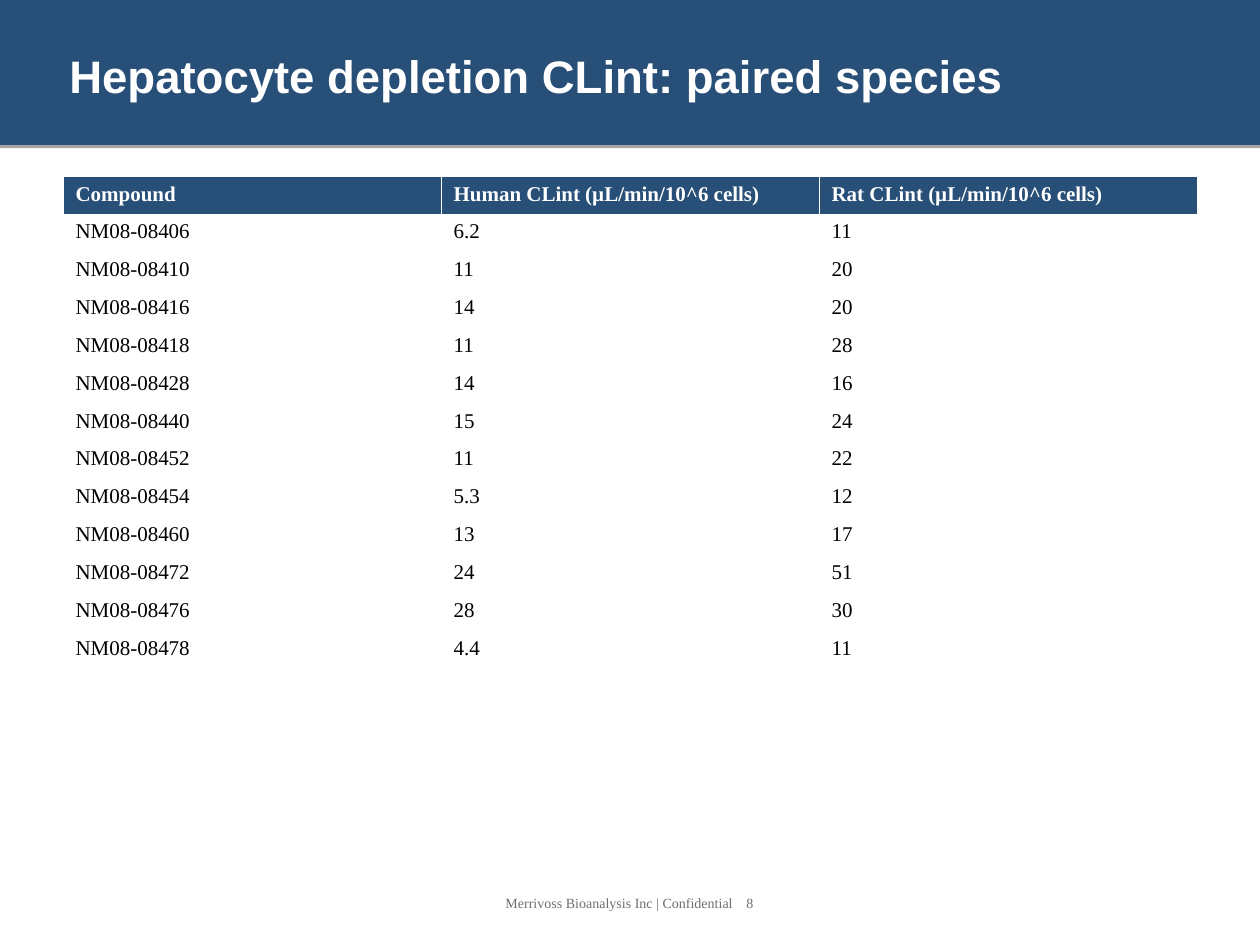
from lxml.etree import SubElement
from pptx import Presentation
from pptx.dml.color import RGBColor
from pptx.enum.shapes import MSO_SHAPE as Shape
from pptx.enum.text import MSO_ANCHOR as Anchor
from pptx.oxml.ns import qn
from pptx.util import Pt

# Content
TITLE = "Hepatocyte depletion CLint: paired species"
HEADER = ("Compound", "Human CLint (µL/min/10^6 cells)", "Rat CLint (µL/min/10^6 cells)")
CLEARANCE = [
    ("NM08-08406", "6.2", "11"),
    ("NM08-08410", "11", "20"),
    ("NM08-08416", "14", "20"),
    ("NM08-08418", "11", "28"),
    ("NM08-08428", "14", "16"),
    ("NM08-08440", "15", "24"),
    ("NM08-08452", "11", "22"),
    ("NM08-08454", "5.3", "12"),
    ("NM08-08460", "13", "17"),
    ("NM08-08472", "24", "51"),
    ("NM08-08476", "28", "30"),
    ("NM08-08478", "4.4", "11"),
]
FOOTER = "Merrivoss Bioanalysis Inc | Confidential"
PAGE = "8"

COLORS = {"navy": "284F78", "white": "FFFFFF", "black": "000000", "gray": "6E6E6E"}
HEADING, BODY = "Arial", "Times New Roman"
SCALE = 914400 / 126


def px(value):
    return round(value * SCALE)


def color(name):
    return RGBColor.from_string(COLORS[name])


def add_color(parent, name):
    return SubElement(parent, qn("a:srgbClr"), val=COLORS[name])


def write(frame, text, size=12, font=BODY, ink="black", bold=False, tab=None):
    paragraph = frame.paragraphs[0]
    paragraph.text = text
    if tab:
        tabs = SubElement(paragraph._p.get_or_add_pPr(), qn("a:tabLst"))
        SubElement(tabs, qn("a:tab"), pos=str(px(tab)), algn="l")
    paragraph.font.size = Pt(size)
    paragraph.font.name = font
    paragraph.font.bold = bold
    paragraph.font.color.rgb = color(ink)


def add_text(slide, text, box, anchor=Anchor.TOP, **style):
    frame = slide.shapes.add_textbox(*map(px, box)).text_frame
    frame.word_wrap = True
    frame.vertical_anchor = anchor
    write(frame, text, **style)


def add_band(slide, box):
    band = slide.shapes.add_shape(Shape.RECTANGLE, *map(px, box))
    band.fill.solid()
    band.fill.fore_color.rgb = color("navy")
    band.line.fill.background()
    band.shadow.inherit = False
    effects = band._element.spPr.find(qn("a:effectLst"))
    shadow = SubElement(effects, qn("a:outerShdw"), blurRad="0", dist=str(Pt(1.8)),
                        dir="5400000", rotWithShape="0")
    SubElement(add_color(shadow, "black"), qn("a:alpha"), val="35000")


def style_cell(cell, fill):
    properties = cell._tc.get_or_add_tcPr()
    for side in ("lnL", "lnR", "lnT", "lnB"):
        line = SubElement(properties, qn(f"a:{side}"), w=str(Pt(0.45)))
        add_color(SubElement(line, qn("a:solidFill")), "white")
    cell.fill.solid()
    cell.fill.fore_color.rgb = color(fill)


def add_clearance_table(slide, box):
    rows = [HEADER, *CLEARANCE]
    table = slide.shapes.add_table(len(rows), len(HEADER), *map(px, box)).table
    for r, values in enumerate(rows):
        is_header = r == 0
        for c, value in enumerate(values):
            cell = table.cell(r, c)
            style_cell(cell, "navy" if is_header else "white")
            write(cell.text_frame, value, bold=is_header,
                  ink="white" if is_header else "black")


def main():
    presentation = Presentation()
    presentation.slide_width, presentation.slide_height = px(1260), px(945)
    slide = presentation.slides.add_slide(presentation.slide_layouts[6])

    # Title band
    add_band(slide, (0, 0, 1260, 145))
    add_text(slide, TITLE, (57, 19, 1147, 113), anchor=Anchor.MIDDLE,
             size=26, font=HEADING, ink="white", bold=True)

    # Clearance table
    add_clearance_table(slide, (63, 176, 1134, 491))

    # Footer with page number
    add_text(slide, f"{FOOTER}\t{PAGE}", (493, 888, 273, 29), size=8, ink="gray", tab=241)

    presentation.save("out.pptx")


if __name__ == "__main__":
    main()
